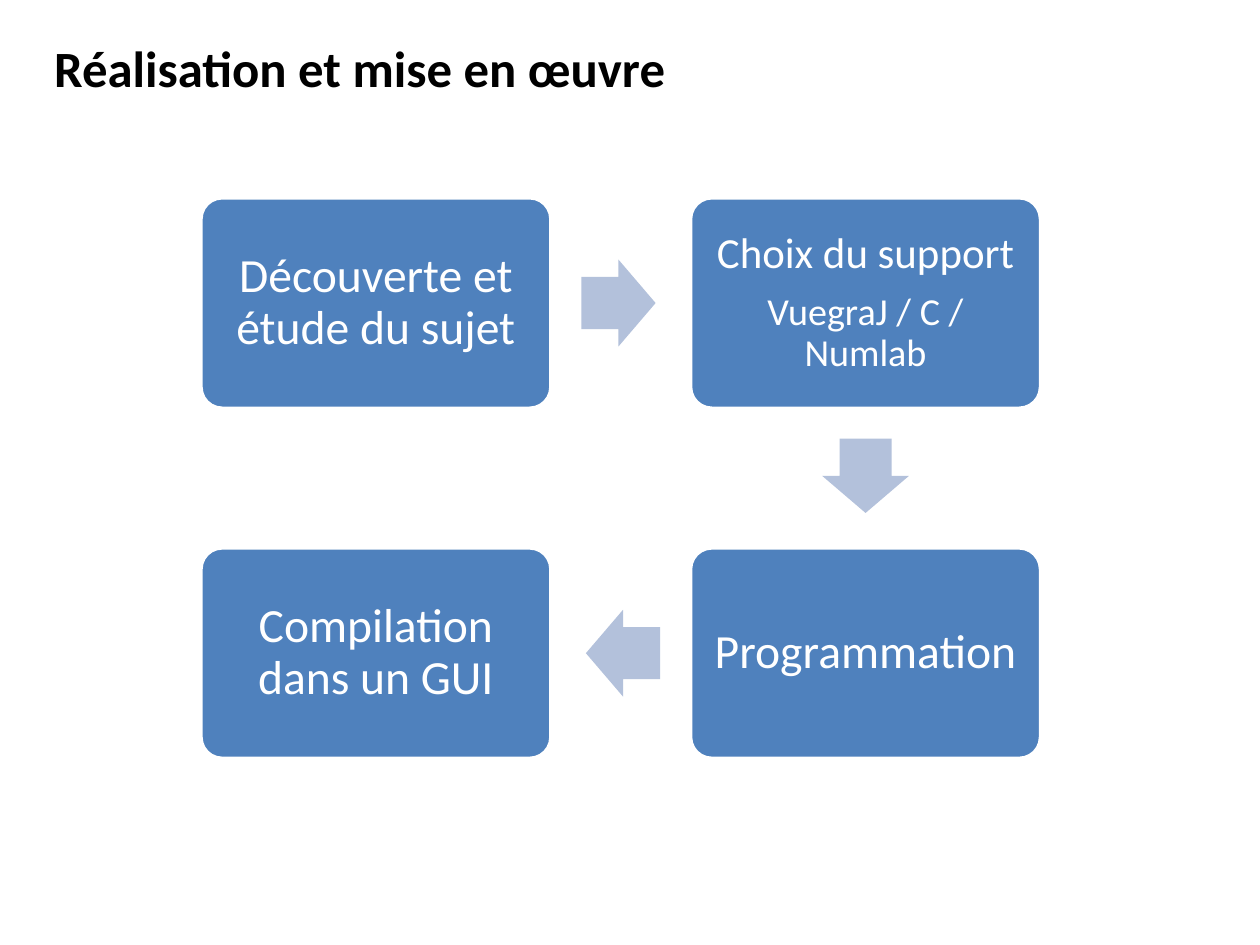
from dataclasses import dataclass
from math import atan2, degrees

from pptx import Presentation
from pptx.dml.color import RGBColor
from pptx.enum import shapes, text
from pptx.util import Cm, Pt

TITLE = "Réalisation et mise en œuvre"
# Steps in reading order: (column, row), lines as (wording, size name)
STEPS = [
    ((0, 0), [("Découverte et étude du sujet", "step")]),
    ((1, 0), [("Choix du support", "choice"), ("VuegraJ / C / Numlab", "detail")]),
    ((1, 1), [("Programmation", "step")]),
    ((0, 1), [("Compilation dans un GUI", "step")]),
]


@dataclass(frozen=True)
class Theme:
    font: str = "Calibri"
    ink: str = "000000"
    paper: str = "FFFFFF"
    box: str = "4F81BD"
    arrow: str = "B3C1DB"
    title: int = 32
    step: int = 30
    choice: int = 27
    detail: int = 24


THEME = Theme()
SLIDE_W, SLIDE_H = 28, 21
GRID_LEFT, GRID_TOP = 4.47, 4.4
BOX_W, BOX_H = 7.77, 4.67
PITCH_X, PITCH_Y = 10.88, 7.78
ARROW_W, ARROW_H = 1.65, 1.93
ARROW_SETBACK = 0.05
BOX_INSET = 0.28


def write(para, wording, *, size, color, bold=False, align=text.PP_ALIGN.LEFT,
          line_spacing=1.0, space_after=0):
    para.alignment = align
    para.line_spacing = line_spacing
    para.space_before = Pt(0)
    para.space_after = Pt(space_after)
    span = para.add_run()
    span.text = wording
    span.font.name = THEME.font
    span.font.size = Pt(size)
    span.font.bold = bold
    span.font.color.rgb = RGBColor.from_string(color)


def add_block(page, kind, left, top, width, height, fill):
    block = page.shapes.add_shape(kind, Cm(left), Cm(top), Cm(width), Cm(height))
    block.shadow.inherit = False
    block.fill.solid()
    block.fill.fore_color.rgb = RGBColor.from_string(fill)
    block.line.fill.background()
    return block


def center_of(cell):
    column, row = cell
    return (GRID_LEFT + column * PITCH_X + BOX_W / 2,
            GRID_TOP + row * PITCH_Y + BOX_H / 2)


def add_step(page, cell, lines):
    x, y = center_of(cell)
    box = add_block(page, shapes.MSO_SHAPE.ROUNDED_RECTANGLE,
                    x - BOX_W / 2, y - BOX_H / 2, BOX_W, BOX_H, THEME.box)
    box.adjustments[0] = 0.1
    box.line.color.rgb = RGBColor.from_string(THEME.paper)
    box.line.width = Pt(2)
    frame = box.text_frame
    frame.word_wrap = True
    frame.vertical_anchor = text.MSO_ANCHOR.MIDDLE
    frame.margin_left = frame.margin_right = Cm(BOX_INSET)
    frame.margin_top = frame.margin_bottom = Cm(BOX_INSET)
    for index, (wording, size_name) in enumerate(lines):
        para = frame.add_paragraph() if index else frame.paragraphs[0]
        size = getattr(THEME, size_name)
        write(para, wording, size=size, color=THEME.paper,
              align=text.PP_ALIGN.CENTER, line_spacing=0.9, space_after=0.35 * size)


def add_arrow(page, start, end):
    """Point from one cell to the next, set slightly back from mid-gap."""
    (x1, y1), (x2, y2) = center_of(start), center_of(end)
    step_x, step_y = end[0] - start[0], end[1] - start[1]
    x = (x1 + x2) / 2 - ARROW_SETBACK * step_x
    y = (y1 + y2) / 2 - ARROW_SETBACK * step_y
    arrow = add_block(page, shapes.MSO_SHAPE.RIGHT_ARROW,
                      x - ARROW_W / 2, y - ARROW_H / 2, ARROW_W, ARROW_H, THEME.arrow)
    arrow.adjustments[0] = 0.6
    arrow.adjustments[1] = 0.5
    arrow.rotation = degrees(atan2(step_y, step_x))


def add_title(page):
    title = page.shapes.title
    title.left, title.top, title.width, title.height = Cm(0.95), Cm(0.69), Cm(14.22), Cm(1.65)
    frame = title.text_frame
    frame.word_wrap = False
    frame.auto_size = text.MSO_AUTO_SIZE.NONE
    frame.vertical_anchor = text.MSO_ANCHOR.TOP
    write(frame.paragraphs[0], TITLE, size=THEME.title, color=THEME.ink, bold=True)


def main():
    deck = Presentation()
    deck.slide_width, deck.slide_height = Cm(SLIDE_W), Cm(SLIDE_H)
    page = deck.slides.add_slide(deck.slide_layouts.get_by_name("Title Only"))
    add_title(page)
    for cell, lines in STEPS:
        add_step(page, cell, lines)
    for (start, _), (end, _) in zip(STEPS, STEPS[1:]):
        add_arrow(page, start, end)
    deck.save("out.pptx")


if __name__ == "__main__":
    main()
